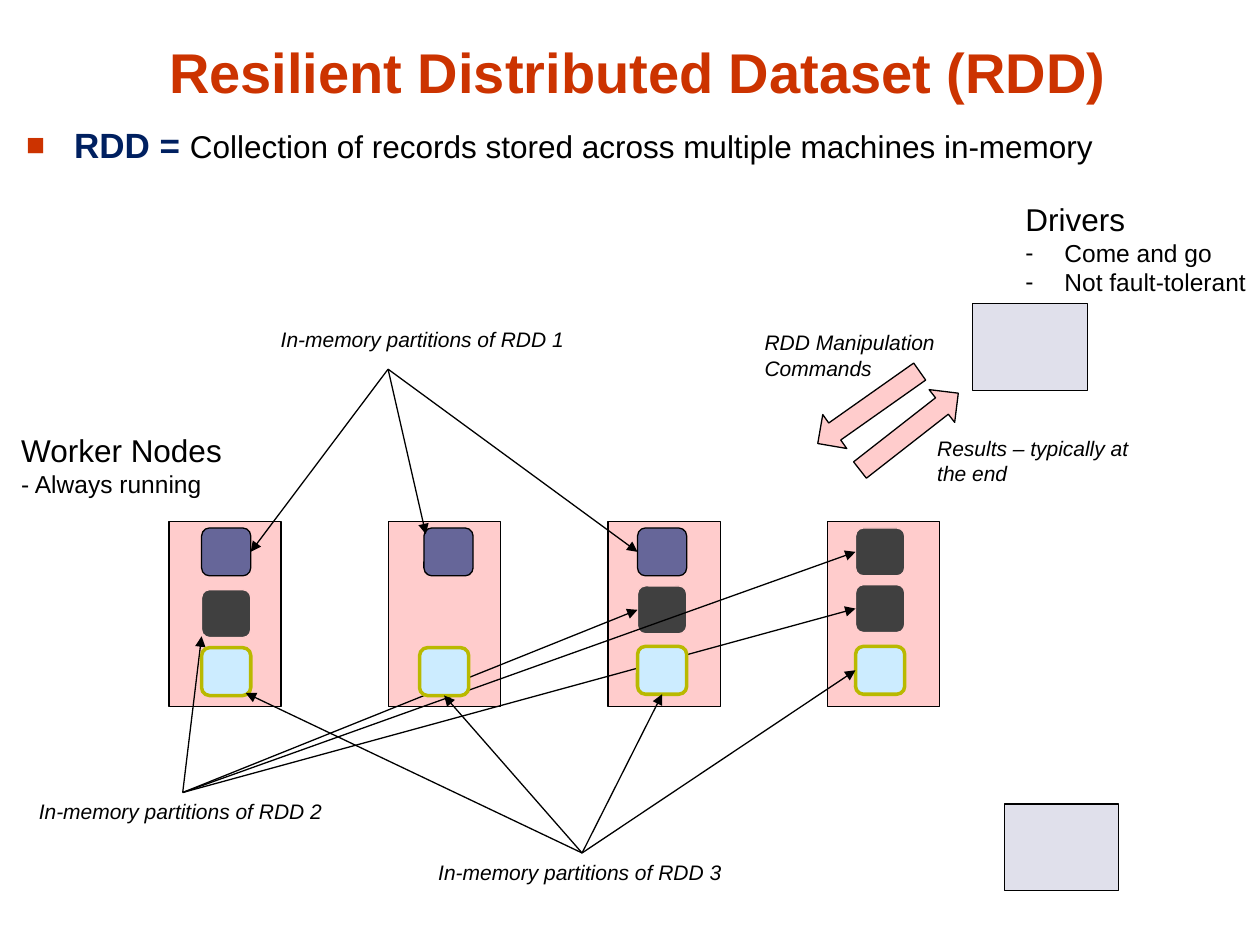
from lxml.etree import SubElement
from pptx import Presentation
from pptx.dml.color import RGBColor
from pptx.enum.shapes import MSO_CONNECTOR as Connector, MSO_SHAPE as Shape
from pptx.enum.text import MSO_ANCHOR as Anchor, PP_ALIGN as Align
from pptx.oxml.ns import qn
from pptx.util import Inches, Pt

BLACK = RGBColor(0x00, 0x00, 0x00)
RED = RGBColor(0xCC, 0x33, 0x00)
NAVY = RGBColor(0x00, 0x20, 0x60)
PINK = RGBColor(0xFF, 0xCC, 0xCC)
LAVENDER = RGBColor(0xE0, 0xE0, 0xEB)
VIOLET = RGBColor(0x66, 0x66, 0x99)
CHARCOAL = RGBColor(0x40, 0x40, 0x40)
SKY = RGBColor(0xCC, 0xEC, 0xFF)
OLIVE = RGBColor(0xB9, 0xB9, 0x00)

TOP, LEFT, BOTTOM, RIGHT = range(4)

TITLE = {"size": 32, "bold": True, "color": RED}
TERM = {"size": 20, "bold": True, "color": NAVY}
HEADING = {"size": 18}
DETAIL = {"size": 14}
LABEL = {"size": 12, "italic": True}

SQUARE_BULLET = {"char": "■", "indent": 0.38, "color": RED, "percent": 90}
DASH_BULLET = {"char": "-", "indent": 0.31}

TEXTS = [
    {"at": (0.65, 0.21, 8.83, 0.67), "anchor": Anchor.BOTTOM, "align": Align.CENTER,
     "lines": [([("Resilient Distributed Dataset (RDD)", TITLE)], None)]},
    {"at": (0.11, 0.93, 8.77, 0.45),
     "lines": [([("RDD = ", TERM),
                 ("Collection of records stored across multiple machines in-memory", HEADING)],
                SQUARE_BULLET)]},
    {"at": (0.07, 3.37, 1.81, 0.64), "wrap": False,
     "lines": [([("Worker Nodes", HEADING)], None),
               ([("- Always running", DETAIL)], None)]},
    {"at": (8.04, 1.54, 1.96, 0.88), "wrap": False,
     "lines": [([("Drivers", HEADING)], None),
               ([("Come and go", DETAIL)], DASH_BULLET),
               ([("Not fault-tolerant", DETAIL)], DASH_BULLET)]},
    {"at": (5.97, 2.57, 1.74, 0.5),
     "lines": [([("RDD Manipulation Commands", LABEL)], None)]},
    {"at": (7.34, 3.41, 1.74, 0.5),
     "lines": [([("Results – typically at the end", LABEL)], None)]},
]

NODE_COUNT, NODE_LEFT, NODE_TOP, NODE_STEP = 4, 1.34, 4.14, 1.743
NODE_SIZE = (0.89, 1.47)
DRIVERS = [(7.72, 2.41), (7.97, 6.38)]
DRIVER_SIZE = (0.91, 0.69)
BLOCK_LEFT, BLOCK_STEP = 1.6, 1.73
BLOCK_SIZE = (0.39, 0.38)
LABEL_SIZE = (2.47, 0.3)
ARROWS = [(6.4, 3.07, 324.8), (6.72, 3.26, 142)]
ARROW_SIZE = (0.99, 0.33)

# Each block is (column, top, arrow target): a side of the block or a point.
RDDS = [
    {"label": "In-memory partitions of RDD 2", "label_at": (0.21, 6.29),
     "source": (1.45, 6.29), "style": (CHARCOAL, PINK, 0.75),
     "blocks": [(0, 4.68, (1.6, 5.05)), (2, 4.65, LEFT), (3, 4.64, LEFT), (3, 4.19, LEFT)]},
    {"label": "In-memory partitions of RDD 3", "label_at": (3.38, 6.77),
     "source": (4.62, 6.77), "style": (SKY, OLIVE, 2),
     "blocks": [(0, 5.14, (1.95, 5.5)), (1, 5.14, BOTTOM), (2, 5.13, BOTTOM), (3, 5.13, LEFT)]},
    {"label": "In-memory partitions of RDD 1", "label_at": (2.13, 2.54),
     "source": (3.08, 2.93), "style": (VIOLET, BLACK, 0.75),
     "blocks": [(0, 4.19, RIGHT), (1.02, 4.19, (3.38, 4.24)), (2, 4.19, LEFT)]},
]


def inches(values):
    return [Inches(value) for value in values]


def add_box(slide, kind, at, size, fill, line=BLACK, width=0.75):
    box = slide.shapes.add_shape(kind, *inches((*at, *size)))
    box.shadow.inherit = False
    box.fill.solid()
    box.fill.fore_color.rgb = fill
    box.line.color.rgb = line
    box.line.width = Pt(width)
    return box


def add_bullet(para, char, indent, color=BLACK, percent=100):
    properties = para._p.get_or_add_pPr()
    properties.set("marL", str(Inches(indent)))
    properties.set("indent", str(-Inches(indent)))
    tint = SubElement(properties, qn("a:buClr"))
    SubElement(tint, qn("a:srgbClr"), val=str(color))
    SubElement(properties, qn("a:buSzPct"), val=str(percent * 1000))
    SubElement(properties, qn("a:buFont"), typeface="Arial")
    SubElement(properties, qn("a:buChar"), char=char)


def add_text(slide, at, lines, wrap=True, anchor=Anchor.TOP, align=Align.LEFT):
    frame = slide.shapes.add_textbox(*inches(at)).text_frame
    frame.word_wrap = wrap
    frame.vertical_anchor = anchor
    for index, (spans, bullet) in enumerate(lines):
        para = frame.add_paragraph() if index else frame.paragraphs[0]
        para.alignment = align
        if bullet:
            add_bullet(para, **bullet)
        for text, style in spans:
            span = para.add_run()
            span.text = text
            span.font.name = "Arial"
            span.font.color.rgb = style.get("color", BLACK)
            span.font.size = Pt(style["size"])
            for name in ("bold", "italic"):
                setattr(span.font, name, style.get(name, False))


def add_pointer(slide, source, block, target):
    end = target if isinstance(target, tuple) else source
    line = slide.shapes.add_connector(Connector.STRAIGHT, *inches((*source, *end)))
    if not isinstance(target, tuple):
        line.end_connect(block, target)
    line.line.color.rgb = BLACK
    line.line.width = Pt(0.75)
    SubElement(line.line._get_or_add_ln(), qn("a:tailEnd"), type="triangle")
    SubElement(line._element.spPr, qn("a:effectLst"))


def add_rdd(slide, label, label_at, source, style, blocks):
    boxes = [add_box(slide, Shape.ROUNDED_RECTANGLE,
                     (BLOCK_LEFT + column * BLOCK_STEP, top), BLOCK_SIZE, *style)
             for column, top, _ in blocks]
    add_text(slide, (*label_at, *LABEL_SIZE), [([(label, LABEL)], None)], wrap=False)
    for box, (_, _, target) in zip(boxes, blocks):
        add_pointer(slide, source, box, target)


def main():
    deck = Presentation()
    deck.slide_width, deck.slide_height = inches((10, 7.5))
    slide = deck.slides.add_slide(deck.slide_layouts[6])
    for column in range(NODE_COUNT):
        add_box(slide, Shape.RECTANGLE, (NODE_LEFT + column * NODE_STEP, NODE_TOP),
                NODE_SIZE, PINK)
    for at in DRIVERS:
        add_box(slide, Shape.RECTANGLE, at, DRIVER_SIZE, LAVENDER)
    for rdd in RDDS:
        add_rdd(slide, **rdd)
    for left, top, angle in ARROWS:
        arrow = add_box(slide, Shape.LEFT_ARROW, (left, top), ARROW_SIZE, PINK)
        arrow.rotation = angle
    for text in TEXTS:
        add_text(slide, **text)
    deck.save("out.pptx")


if __name__ == "__main__":
    main()
